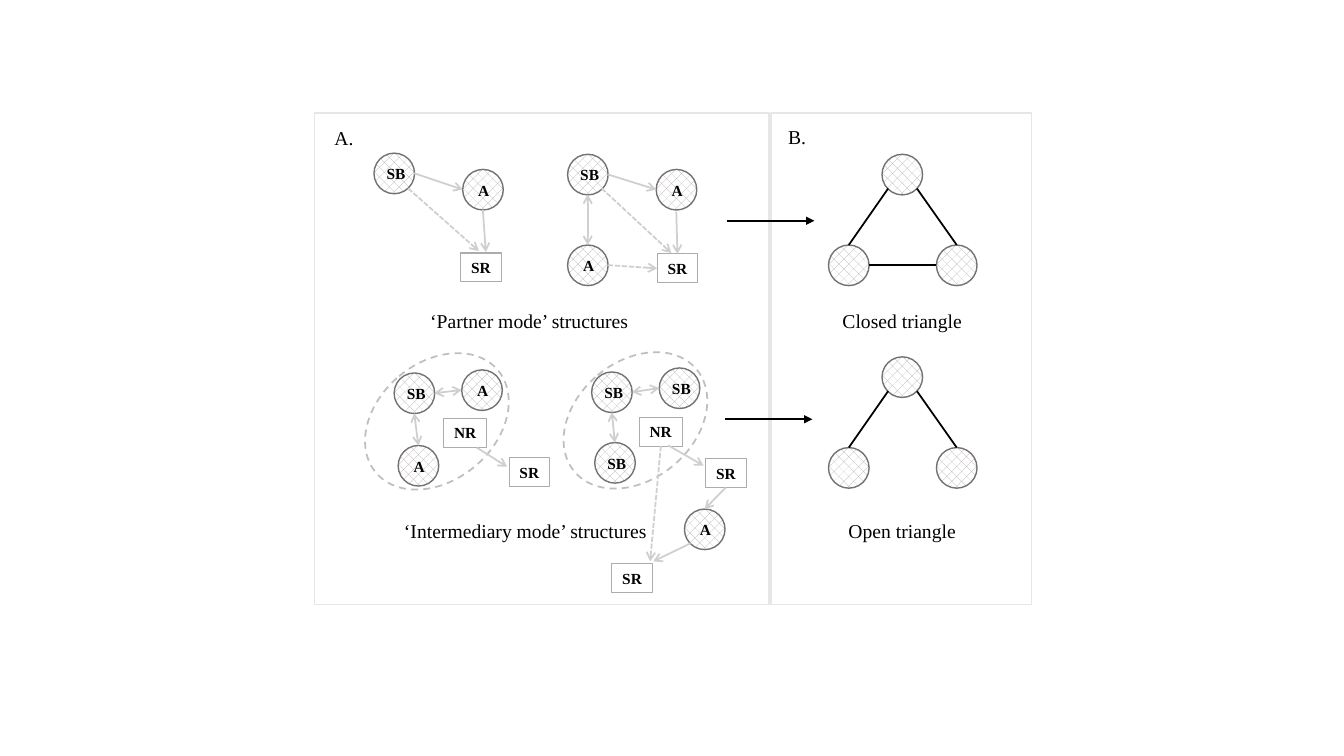
from lxml import etree
from pptx import Presentation
from pptx.dml.color import RGBColor
from pptx.enum.dml import MSO_LINE, MSO_PATTERN
from pptx.enum.shapes import MSO_CONNECTOR, MSO_SHAPE
from pptx.enum.text import MSO_ANCHOR, MSO_AUTO_SIZE, PP_ALIGN
from pptx.oxml.ns import qn
from pptx.util import Pt

RECT, OVAL = MSO_SHAPE.RECTANGLE, MSO_SHAPE.OVAL
STRAIGHT = MSO_CONNECTOR.STRAIGHT
DASH, DOT = MSO_LINE.DASH, MSO_LINE.SQUARE_DOT
HATCH = MSO_PATTERN.PERCENT_30
LEFT, CENTER = PP_ALIGN.LEFT, PP_ALIGN.CENTER
MIDDLE = MSO_ANCHOR.MIDDLE
GROW = MSO_AUTO_SIZE.SHAPE_TO_FIT_TEXT
TOP, WEST, BOTTOM = 0, 1, 2
FONT = "Times New Roman"
SIZE = 29
COLORS = {
    "ink": "000000", "paper": "FFFFFF", "panel": "E7E6E6", "hatch": "AFABAB",
    "rim": "767171", "link": "D0CECE", "ring": "BFBFBF",
}


def color(name):
    return RGBColor.from_string(COLORS[name])


class Figure:
    """Draws the network elements on one slide."""

    def __init__(self, slide):
        self.shapes = slide.shapes

    def shape(self, kind, x, y, w, h, line, width):
        item = self.shapes.add_shape(kind, Pt(x), Pt(y), Pt(w), Pt(h))
        item.shadow.inherit = False
        item.fill.background()
        item.line.color.rgb = color(line)
        item.line.width = Pt(width)
        return item

    def letter(self, item, text, size, bold, align):
        frame = item.text_frame
        frame.text = text
        frame.word_wrap = False
        frame.auto_size = GROW
        para = frame.paragraphs[0]
        para.alignment = align
        font = para.runs[0].font
        font.name, font.size, font.bold = FONT, Pt(size), bold
        font.color.rgb = color("ink")

    def label(self, text, x, y, w, h=24.5, size=14, bold=False):
        box = self.shapes.add_textbox(Pt(x), Pt(y), Pt(w), Pt(h))
        self.letter(box, text, size, bold, LEFT)

    def panel(self, x, w):
        self.shape(RECT, x, 80.6, w, 351.4, "panel", 1)

    def ring(self, x, y):
        item = self.shape(OVAL, x, y, 84.2, 113.8, "ring", 1.25)
        item.rotation = 50.1
        item.line.dash_style = DASH

    def node(self, x, y, text=None):
        item = self.shape(OVAL, x, y, SIZE, SIZE, "rim", 1)
        item.fill.patterned()
        item.fill.pattern = HATCH
        item.fill.fore_color.rgb = color("hatch")
        item.fill.back_color.rgb = color("paper")
        if text:
            dx, w = (2, 28) if text == "SB" else (4, 22.3)
            self.label(text, x + dx, y + 4.5, w, 20.6, 11, True)

    def tag(self, text, x, y):
        w = 31 if text == "NR" else 29
        item = self.shape(RECT, x, y, w, 20.6, "hatch", 0.75)
        self.letter(item, text, 11, True, CENTER)
        item.text_frame.vertical_anchor = MIDDLE
        return item

    def link(self, x1, y1, x2, y2, hue="link", width=1.25, dash=None,
             head=None, tail=None, begin=None, end=None):
        item = self.shapes.add_connector(STRAIGHT, Pt(x1), Pt(y1), Pt(x2), Pt(y2))
        item.line.color.rgb = color(hue)
        item.line.width = Pt(width)
        if dash:
            item.line.dash_style = dash
        props = item.element.spPr
        stroke = props.find(qn("a:ln"))
        for name, kind in (("a:headEnd", head), ("a:tailEnd", tail)):
            if kind:
                etree.SubElement(stroke, qn(name), type=kind)
        etree.SubElement(props, qn("a:effectLst"))
        if begin:
            item.begin_connect(*begin)
        if end:
            item.end_connect(*end)

    def triangle(self, y, closed):
        low = y + 64.8
        for x, top in ((630, y), (591.8, low), (668.9, low)):
            self.node(x, top)
        for x1, x2 in ((634.4, 606.3), (655, 683.4)):
            self.link(x1, y + 24.5, x2, low, "ink")
        if closed:
            mid = low + SIZE / 2
            self.link(668.9, mid, 591.8 + SIZE, mid, "ink")


def main():
    deck = Presentation()
    deck.slide_width, deck.slide_height = Pt(960), Pt(540)
    fig = Figure(deck.slides.add_slide(deck.slide_layouts[6]))

    fig.panel(224.6, 324.7)
    fig.panel(550.8, 185.8)
    for text, x, y, w in (
        ("A.", 231.8, 86.4, 28),
        ("B.", 555.8, 85.7, 27.4),
        ("‘Partner mode’ structures", 300.2, 217.4, 157),
        ("Closed triangle", 594.7, 217.4, 100.8),
        ("‘Intermediary mode’ structures", 281.5, 367.2, 189.4),
        ("Open triangle", 599, 367.2, 92.2),
    ):
        fig.label(text, x, y, w)

    fig.triangle(110.2, True)
    fig.triangle(254.9, False)
    for x, y in ((270, 244.1), (411.8, 243.4)):
        fig.ring(x, y)

    for text, x, y in (
        ("SB", 267.1, 109.4), ("A", 330.5, 121),
        ("SB", 405.4, 110.2), ("A", 468.7, 121), ("A", 405.4, 175),
        ("SB", 281.5, 266.4), ("A", 329.8, 264.2), ("A", 284.4, 318.2),
        ("SB", 422.6, 265.7), ("SB", 470.9, 262.8), ("SB", 424.8, 316.1),
        ("A", 488.9, 363.6),
    ):
        fig.node(x, y, text)

    for text, x, y in (
        ("SR", 329, 180.7), ("NR", 316.8, 298.8),
        ("SR", 363.6, 326.9), ("SR", 437, 402.5),
    ):
        fig.tag(text, x, y)
    goal = fig.tag("SR", 469.4, 181.4)
    hub = fig.tag("NR", 456.5, 298.1)
    relay = fig.tag("SR", 504, 327.6)

    for ends in (
        (295.9, 123.8, 330.5, 135.4), (344.9, 149.8, 347, 180),
        (434.2, 124.6, 468.7, 135.4), (477.4, 318.2, 502.6, 332.6),
        (493.2, 388.1, 466.6, 401), (340.6, 319.7, 362.2, 333.4),
    ):
        fig.link(*ends, tail="arrow")
    fig.link(483.1, 151.2, 483.9, 181.4, tail="arrow", end=(goal, TOP))
    fig.link(518.5, 348.2, 503.3, 363.6, tail="arrow", begin=(relay, BOTTOM))

    for ends in (
        (419.8, 139, 419.8, 175), (451.4, 280.1, 470.9, 277.2),
        (437, 294.5, 439.2, 316.1), (310.3, 280.8, 329.8, 278.6),
        (295.9, 295.2, 298.8, 318.2),
    ):
        fig.link(*ends, head="arrow", tail="arrow")

    for ends in ((291.6, 134.6, 342, 179.3), (429.8, 134.6, 479.5, 180.7)):
        fig.link(*ends, dash=DOT, tail="arrow")
    fig.link(434.2, 189.4, 469.4, 191.7, dash=DOT, tail="arrow", end=(goal, WEST))
    fig.link(472, 318.7, 464.4, 401, dash=DOT, tail="arrow", begin=(hub, BOTTOM))

    for x, y in ((519.1, 157.7), (517.7, 299.5)):
        fig.link(x, y, x + 62.6, y, "ink", 1.5, tail="triangle")

    deck.save("out.pptx")


if __name__ == "__main__":
    main()
